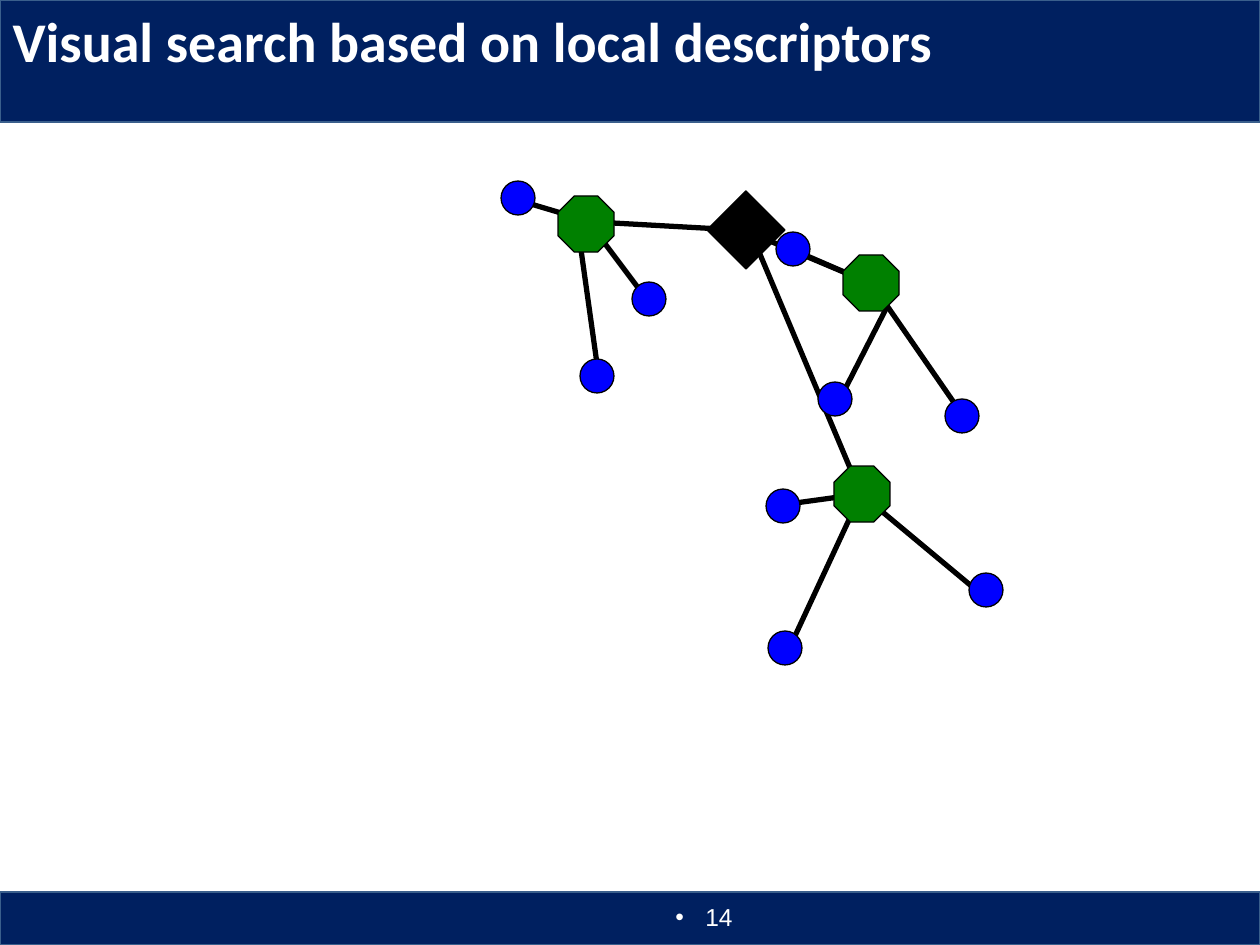
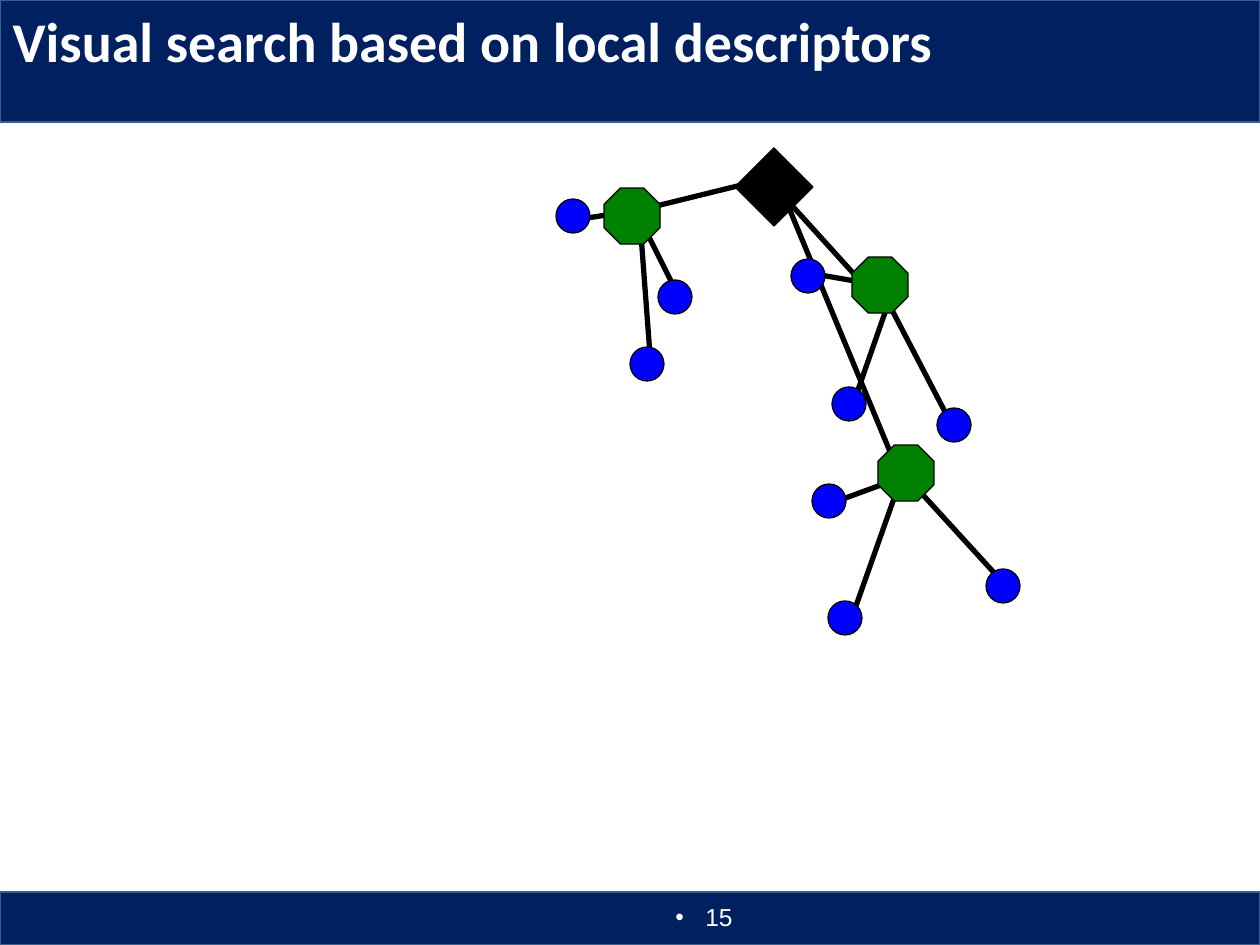
from pptx import Presentation
from pptx.dml.color import RGBColor
from pptx.enum.shapes import MSO_CONNECTOR, MSO_SHAPE
from pptx.enum.text import MSO_ANCHOR, MSO_AUTO_SIZE, PP_ALIGN
from pptx.oxml.ns import qn
from pptx.util import Pt
from lxml.etree import SubElement

NAVY = RGBColor(0x00, 0x20, 0x60)
BAND_EDGE = RGBColor(0x3A, 0x5F, 0x8C)
BLACK = RGBColor(0x00, 0x00, 0x00)
WHITE = RGBColor(0xFF, 0xFF, 0xFF)
BLUE = RGBColor(0x00, 0x00, 0xFF)
GREEN = RGBColor(0x00, 0x80, 0x00)

EMU_PER_PX = 914400 / 126
SLIDE_WIDTH, SLIDE_HEIGHT = 1260, 945
HEADER_HEIGHT, FOOTER_TOP = 122, 892
TITLE = "Visual search based on local descriptors"
ROOT_SIZE, BRANCH_SIZE, LEAF_SIZE = 78, 56, 34
NUMBER_INDENT = 30

TREES = [
    {
        "number": "14",
        "root": (746, 230),
        "branches": [(862, 494), (871, 283), (586, 224)],
        "leaves": [
            (597, 376), (783, 506), (785, 648), (986, 590), (962, 416),
            (649, 299), (518, 198), (793, 249), (835, 399),
        ],
        "edges": [
            (798, 252, 872, 284), (887, 307, 840, 399), (872, 284, 966, 420),
            (788, 504, 861, 494), (861, 494, 788, 651), (861, 494, 987, 599),
            (514, 199, 588, 221), (588, 221, 651, 305), (577, 221, 599, 378),
            (577, 221, 756, 231), (872, 284, 746, 231), (861, 494, 746, 221),
        ],
    },
    {
        "number": "15",
        "root": (774, 187),
        "branches": [(906, 473), (880, 285), (632, 216)],
        "leaves": [
            (647, 364), (829, 501), (845, 618), (1003, 586), (954, 425),
            (675, 297), (573, 216), (808, 276), (849, 404),
        ],
        "edges": [
            (809, 273, 872, 284), (887, 307, 851, 410), (892, 310, 955, 431),
            (829, 504, 914, 473), (903, 473, 851, 620), (903, 473, 1008, 588),
            (567, 221, 640, 210), (630, 199, 683, 305), (640, 221, 651, 368),
            (766, 179, 640, 210), (882, 305, 777, 189), (903, 483, 777, 179),
        ],
    },
]


def px(length):
    return round(length * EMU_PER_PX)


def add_filled(slide, preset, bounds, fill, edge, edge_width):
    shape = slide.shapes.add_shape(preset, *map(px, bounds))
    shape.shadow.inherit = False
    shape.fill.solid()
    shape.fill.fore_color.rgb = fill
    shape.line.color.rgb = edge
    shape.line.width = Pt(edge_width)
    return shape


def add_band(slide, top, height):
    add_filled(slide, MSO_SHAPE.RECTANGLE, (0, top, SLIDE_WIDTH, height), NAVY, BAND_EDGE, 1)


def add_node(slide, preset, center, size, fill):
    x, y = center
    bounds = (x - size / 2, y - size / 2, size, size)
    return add_filled(slide, preset, bounds, fill, BLACK, 0.75)


def add_edge(slide, ends):
    edge = slide.shapes.add_connector(MSO_CONNECTOR.STRAIGHT, *map(px, ends))
    edge.line.color.rgb = BLACK
    edge.line.width = Pt(3)
    SubElement(edge._element.spPr, qn("a:effectLst"))


def style_text(paragraph, font_name, size, align, bold=False):
    paragraph.alignment = align
    font = paragraph.runs[0].font
    font.name = font_name
    font.size = Pt(size)
    font.bold = bold
    font.color.rgb = WHITE


def set_title(slide):
    title = slide.shapes.title
    title.left, title.top, title.width, title.height = map(px, (0, 0, 1131, 126))
    frame = title.text_frame
    frame.text = TITLE
    frame.auto_size = MSO_AUTO_SIZE.NONE
    frame.vertical_anchor = MSO_ANCHOR.TOP
    style_text(frame.paragraphs[0], "Calibri", 32, PP_ALIGN.LEFT, bold=True)
    slide.shapes._spTree.append(title._element)


def add_slide_number(slide, number):
    box = slide.shapes.add_textbox(*map(px, (451, FOOTER_TOP, 294, 50)))
    frame = box.text_frame
    frame.word_wrap = True
    frame.vertical_anchor = MSO_ANCHOR.MIDDLE
    frame.text = number
    paragraph = frame.paragraphs[0]
    properties = paragraph._p.get_or_add_pPr()
    properties.set("marL", str(px(NUMBER_INDENT)))
    properties.set("indent", str(-px(NUMBER_INDENT)))
    SubElement(properties, qn("a:buFont"), typeface="Arial")
    SubElement(properties, qn("a:buChar"), char="•")
    style_text(paragraph, "Arial", 14, PP_ALIGN.RIGHT)


def add_tree(slide, tree):
    for ends in tree["edges"]:
        add_edge(slide, ends)
    add_node(slide, MSO_SHAPE.DIAMOND, tree["root"], ROOT_SIZE, BLACK)
    for center in tree["branches"]:
        branch = add_node(slide, MSO_SHAPE.OCTAGON, center, BRANCH_SIZE, GREEN)
        branch.adjustments[0] = 0.29
    for center in tree["leaves"]:
        add_node(slide, MSO_SHAPE.FLOWCHART_CONNECTOR, center, LEAF_SIZE, BLUE)


def main():
    presentation = Presentation()
    presentation.slide_width = px(SLIDE_WIDTH)
    presentation.slide_height = px(SLIDE_HEIGHT)
    title_only = presentation.slide_layouts[5]
    for tree in TREES:
        slide = presentation.slides.add_slide(title_only)
        add_band(slide, 0, HEADER_HEIGHT)
        add_band(slide, FOOTER_TOP, SLIDE_HEIGHT - FOOTER_TOP)
        add_slide_number(slide, tree["number"])
        add_tree(slide, tree)
        set_title(slide)
    presentation.save("out.pptx")


if __name__ == "__main__":
    main()
